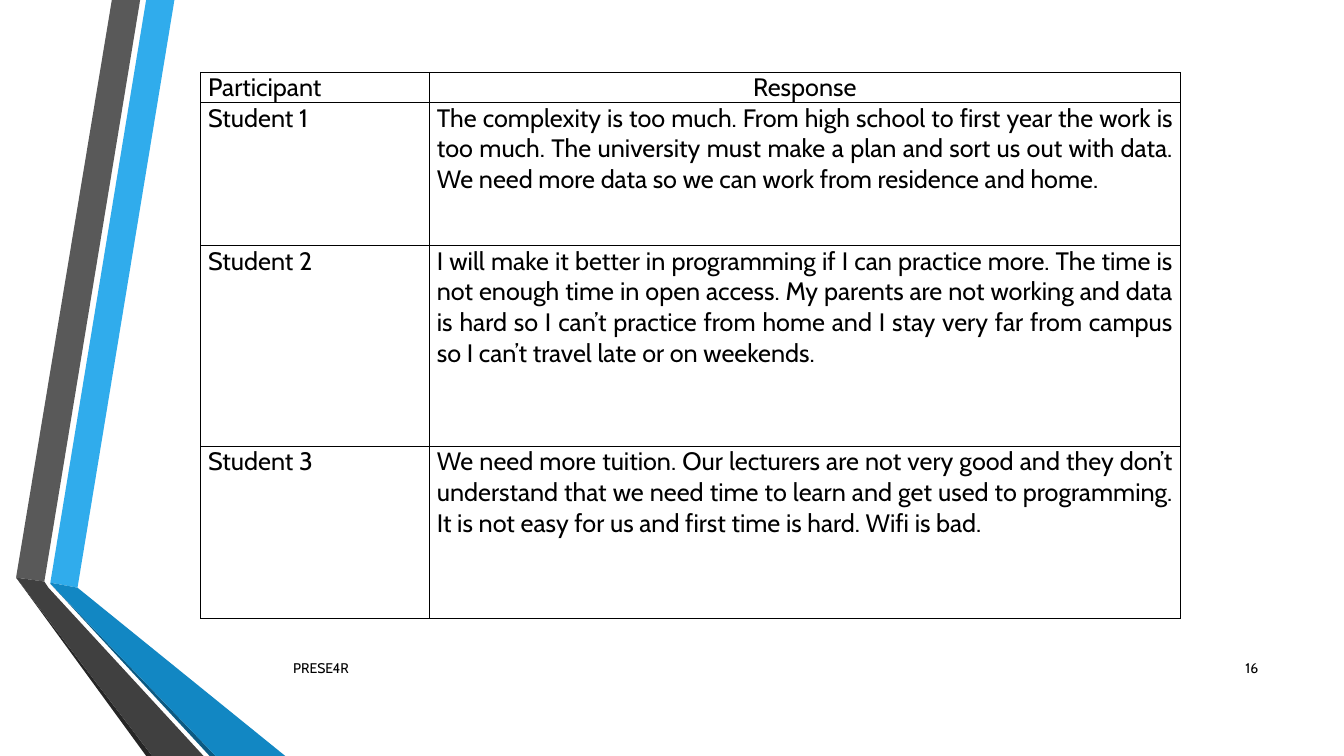
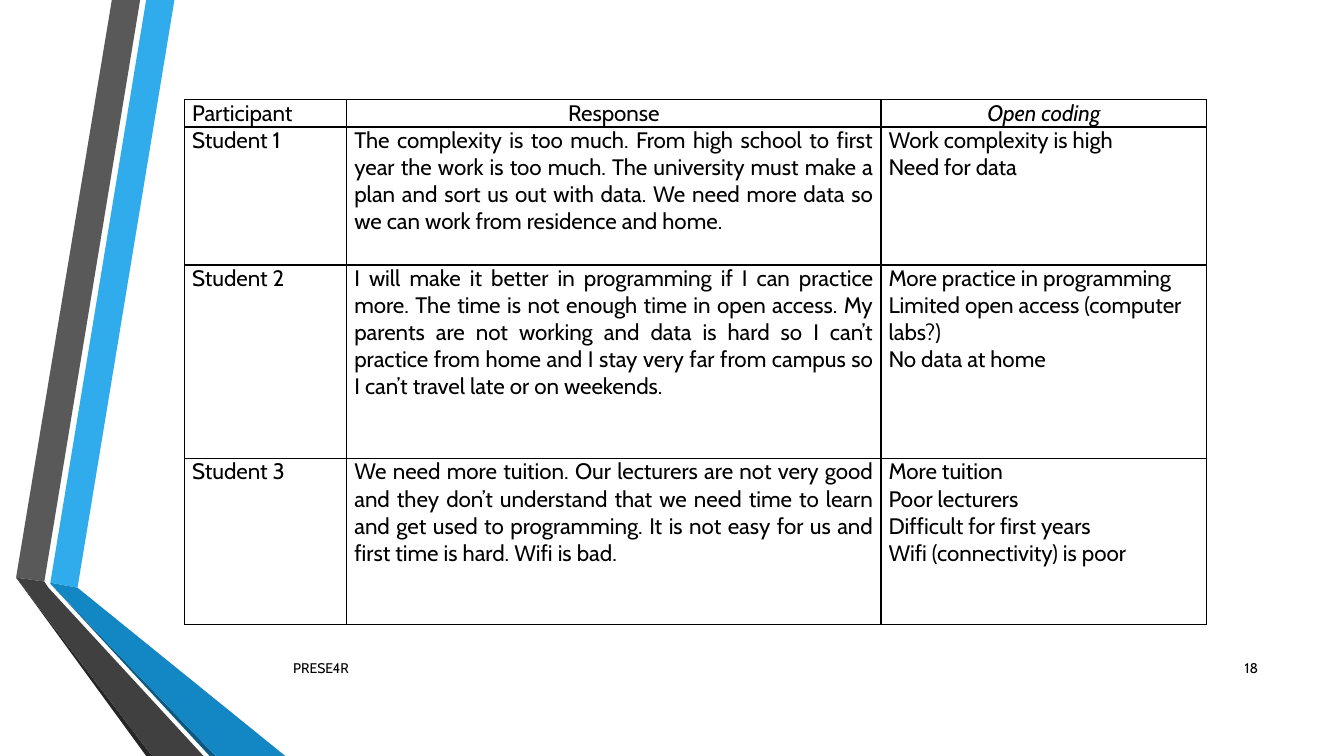
"""Build two slides of student interview responses as tables beside a folded ribbon."""
import pptx
import pptx.dml.color
import pptx.enum.text
import pptx.oxml
import pptx.oxml.ns
import pptx.util

Pt = pptx.util.Pt
ALIGN = pptx.enum.text.PP_ALIGN
FONT = "Cabin"
BLACK = "000000"
FOOTER = "PRESE4R"

RIBBONS = [
    ("30ACEC", [(36, 416.2), (55.4, 419.8), (124.6, 0), (104.4, 0)]),
    ("595959", [(100.1, 0), (79.9, 0), (11.5, 412.6), (31.7, 415.4)]),
    ("262626", [(11.5, 412.6), (104.4, 540), (108.7, 540)]),
    ("0C5A82", [(36, 416.9), (149.8, 540), (154.1, 540)]),
    ("1287C3", [(36, 416.2), (36, 416.9), (154.1, 540), (203.8, 540), (55.4, 419.8)]),
    ("404040", [(145.4, 540), (34.6, 419.8), (31.7, 415.4), (11.5, 412.6), (108.7, 540)]),
]

RESPONSES = [
    ("Student 1",
     "The complexity is too much. From high school to first year the work is too much. "
     "The university must make a plan and sort us out with data. "
     "We need more data so we can work from residence and home."),
    ("Student 2",
     "I will make it better in programming if I can practice more. "
     "The time is not enough time in open access. "
     "My parents are not working and data is hard so I can’t practice from home "
     "and I stay very far from campus so I can’t travel late or on weekends."),
    ("Student 3",
     "We need more tuition. Our lecturers are not very good and they don’t understand "
     "that we need time to learn and get used to programming. "
     "It is not easy for us and first time is hard. Wifi is bad."),
]
CODES = [
    "Work complexity is high\nNeed for data",
    "More practice in programming\nLimited open access (computer labs?)\nNo data at home",
    "More tuition\nPoor lecturers\nDifficult for first years\nWifi (connectivity) is poor",
]


def color(value):
    return pptx.dml.color.RGBColor.from_string(value)


def write(frame, text, size, align, italic=False):
    frame.text = text
    for para in frame.paragraphs:
        para.alignment = align
        for span in para.runs:
            span.font.name = FONT
            span.font.size = Pt(size)
            span.font.italic = italic
            span.font.color.rgb = color(BLACK)


def add_ribbon(page, fill, points):
    corners = [(Pt(x), Pt(y)) for x, y in points]
    builder = page.shapes.build_freeform(*corners[0], scale=1.0)
    builder.add_line_segments(corners[1:], close=True)
    shape = builder.convert_to_shape()
    shape.shadow.inherit = False
    shape.fill.solid()
    shape.fill.fore_color.rgb = color(fill)
    shape.line.fill.background()


def add_label(page, text, left, width, align):
    box = page.shapes.add_textbox(Pt(left), Pt(463), Pt(width), Pt(28.8))
    frame = box.text_frame
    frame.word_wrap = True
    frame.vertical_anchor = pptx.enum.text.MSO_ANCHOR.MIDDLE
    write(frame, text, 10, align)


def add_borders(cell):
    properties = cell._tc.get_or_add_tcPr()
    for side in ("lnL", "lnR", "lnT", "lnB"):
        properties.append(pptx.oxml.parse_xml(
            f'<a:{side} {pptx.oxml.ns.nsdecls("a")} w="{Pt(1)}"><a:solidFill>'
            f'<a:srgbClr val="{BLACK}"/></a:solidFill></a:{side}>'))


def style_cell(cell):
    cell.margin_left = cell.margin_right = Pt(5.4)
    cell.margin_top = cell.margin_bottom = 0
    add_borders(cell)
    cell.fill.background()


def add_response_table(page, left, top, widths, heights, size, rows):
    table = page.shapes.add_table(
        len(rows), len(widths), Pt(left), Pt(top), Pt(sum(widths)), Pt(sum(heights))).table
    table.first_row = table.horz_banding = False
    for column, width in zip(table.columns, widths):
        column.width = Pt(width)
    for row, height in zip(table.rows, heights):
        row.height = Pt(height)
    header_aligns = (ALIGN.JUSTIFY, ALIGN.CENTER, ALIGN.CENTER)
    body_aligns = (ALIGN.JUSTIFY, ALIGN.JUSTIFY, ALIGN.LEFT)
    for r, texts in enumerate(rows):
        aligns = body_aligns if r else header_aligns
        for c, text in enumerate(texts):
            cell = table.cell(r, c)
            style_cell(cell)
            write(cell.text_frame, text, size, aligns[c], italic=r == 0 and c == 2)


def add_page(deck, number):
    page = deck.slides.add_slide(deck.slide_layouts[6])
    for fill, points in RIBBONS:
        add_ribbon(page, fill, points)
    add_label(page, FOOTER, 202.3, 558, ALIGN.LEFT)
    add_label(page, str(number), 862.6, 43.2, ALIGN.RIGHT)
    return page


def main():
    deck = pptx.Presentation()
    deck.slide_width, deck.slide_height = Pt(960), Pt(540)

    header = ("Participant", "Response")
    add_response_table(add_page(deck, 16), 143.3, 51.8, (163.4, 536.4),
                       (20.2, 102.2, 143.3, 123.1), 18, [header, *RESPONSES])

    coded = [(*response, codes) for response, codes in zip(RESPONSES, CODES)]
    add_response_table(add_page(deck, 18), 131.8, 71.3, (115.9, 381.6, 232.6),
                       (19.4, 98.6, 138.2, 118.8), 16, [(*header, "Open coding"), *coded])

    deck.save("out.pptx")


if __name__ == "__main__":
    main()
